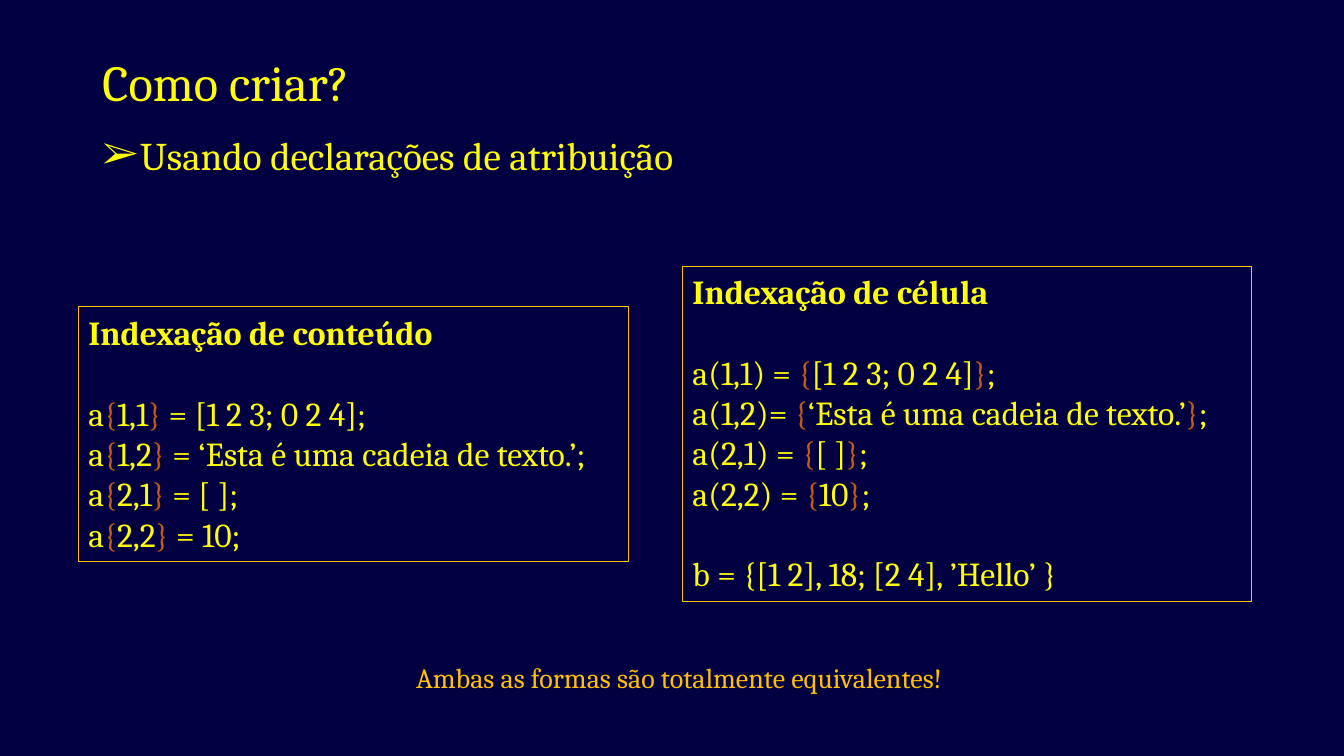
"""Builds the slide about creating cell arrays by assignment."""
from dataclasses import dataclass

from lxml import etree
from pptx import Presentation
from pptx import util as u
from pptx.dml.color import RGBColor
from pptx.enum import shapes, text
from pptx.oxml import ns


@dataclass(frozen=True)
class Theme:
    """Colours, font and type sizes of the slide."""
    background: str = "020041"
    main: str = "FFFF00"
    brace: str = "C55A11"
    gold: str = "FFC000"
    font: str = "Cambria"
    title_size: float = 36
    bullet_size: float = 28
    code_size: float = 24
    note_size: float = 20
    code_line: float = 28.8


@dataclass(frozen=True)
class Box:
    """A place on the slide, in points."""
    left: float
    top: float
    width: float
    height: float

    def lengths(self) -> list[u.Length]:
        """Return left, top, width and height as lengths."""
        return [u.Pt(n) for n in (self.left, self.top, self.width, self.height)]


@dataclass(frozen=True)
class CodePanel:
    """A framed panel: a heading, then groups of code lines.

    Each "|" in a line switches between the main and the brace colour.
    """
    box: Box
    heading: str
    groups: tuple[tuple[str, ...], ...]


THEME = Theme()
TITLE_BOX = Box(66, 28.8, 828, 64.8)
BULLET_BOX = Box(66, 90.4, 445.7, 74.9)
NOTE_BOX = Box(290.16, 468.4, 411.84, 31.7)
PANELS = (
    CodePanel(Box(56, 219.2, 393.12, 181.7), "Indexação de conteúdo", ((
        "a|{|1,1|} |= [1 2 3; 0 2 4];",
        "a|{|1,2|}| = ‘Esta é uma cadeia de texto.’;",
        "a|{|2,1|}| = [ ];",
        "a|{|2,2|} |= 10;",
    ),)),
    CodePanel(Box(487.6, 190.08, 406.44, 239.5), "Indexação de célula", ((
        "a(1,1) = |{|[1 2 3; 0 2 4]|}|;",
        "a(1,2)= |{|‘Esta é uma cadeia de texto.’|}|;",
        "a(2,1) = |{|[ ]|}|;",
        "a(2,2) = |{|10|}|;",
    ), ("b = {[1 2], 18; [2 4], ’Hello’ }",))),
)


def add_run(paragraph, words: str, size: float, color: str = THEME.main,
            bold: bool = False) -> None:
    """Append one formatted run to a paragraph."""
    run = paragraph.add_run()
    run.text = words
    run.font.name = THEME.font
    run.font.size = u.Pt(size)
    run.font.bold = bold
    run.font.color.rgb = RGBColor.from_string(color)


def fit_frame(frame) -> None:
    """Keep lines unwrapped and let the shape grow with its text."""
    frame.word_wrap = False
    frame.auto_size = text.MSO_AUTO_SIZE.SHAPE_TO_FIT_TEXT
    frame.vertical_anchor = text.MSO_ANCHOR.TOP


def place_title(slide, words: str) -> None:
    """Move, format and fill the title placeholder."""
    title = slide.shapes.title
    title.left, title.top, title.width, title.height = TITLE_BOX.lengths()
    title.text_frame.vertical_anchor = text.MSO_ANCHOR.MIDDLE
    paragraph = title.text_frame.paragraphs[0]
    paragraph.alignment = text.PP_ALIGN.LEFT
    paragraph.line_spacing = 0.9
    add_run(paragraph, words, THEME.title_size)


def add_label(slide, box: Box, words: str, size: float, color: str):
    """Add a one-line text box and return its paragraph."""
    frame = slide.shapes.add_textbox(*box.lengths()).text_frame
    fit_frame(frame)
    paragraph = frame.paragraphs[0]
    paragraph.alignment = text.PP_ALIGN.LEFT
    add_run(paragraph, words, size, color)
    return paragraph


def add_bullet(paragraph, character: str, indent: float) -> None:
    """Give a paragraph a hanging bullet."""
    properties = paragraph._p.get_or_add_pPr()
    properties.set("marL", str(u.Pt(indent)))
    properties.set("indent", str(-u.Pt(indent)))
    font = etree.SubElement(properties, ns.qn("a:buFont"))
    font.set("typeface", THEME.font)
    bullet = etree.SubElement(properties, ns.qn("a:buChar"))
    bullet.set("char", character)


def add_panel(slide, panel: CodePanel) -> None:
    """Draw a framed panel with its heading and code."""
    shape = slide.shapes.add_shape(shapes.MSO_SHAPE.RECTANGLE, *panel.box.lengths())
    shape.shadow.inherit = False
    shape.fill.background()
    shape.line.color.rgb = RGBColor.from_string(THEME.gold)
    shape.line.width = u.Pt(0.75)
    frame = shape.text_frame
    fit_frame(frame)
    heading = frame.paragraphs[0]
    heading.alignment = text.PP_ALIGN.LEFT
    add_run(heading, panel.heading, THEME.code_size, bold=True)
    for group in panel.groups:
        for row, line in enumerate(group):
            paragraph = frame.add_paragraph()
            paragraph.alignment = text.PP_ALIGN.LEFT
            paragraph.space_before = u.Pt(0 if row else THEME.code_line)
            for part, words in enumerate(line.split("|")):
                color = THEME.brace if part % 2 else THEME.main
                add_run(paragraph, words, THEME.code_size, color)


def main() -> None:
    """Build and save the presentation."""
    presentation = Presentation()
    presentation.slide_width, presentation.slide_height = u.Pt(960), u.Pt(540)
    slide = presentation.slides.add_slide(
        presentation.slide_layouts.get_by_name("Title Only"))
    slide.background.fill.solid()
    slide.background.fill.fore_color.rgb = RGBColor.from_string(THEME.background)
    place_title(slide, "Como criar?")
    bullet = add_label(slide, BULLET_BOX, "Usando declarações de atribuição",
                       THEME.bullet_size, THEME.main)
    add_bullet(bullet, "➢", 27)
    for panel in PANELS:
        add_panel(slide, panel)
    add_label(slide, NOTE_BOX, "Ambas as formas são totalmente equivalentes!",
              THEME.note_size, THEME.gold)
    presentation.save("out.pptx")


main()
